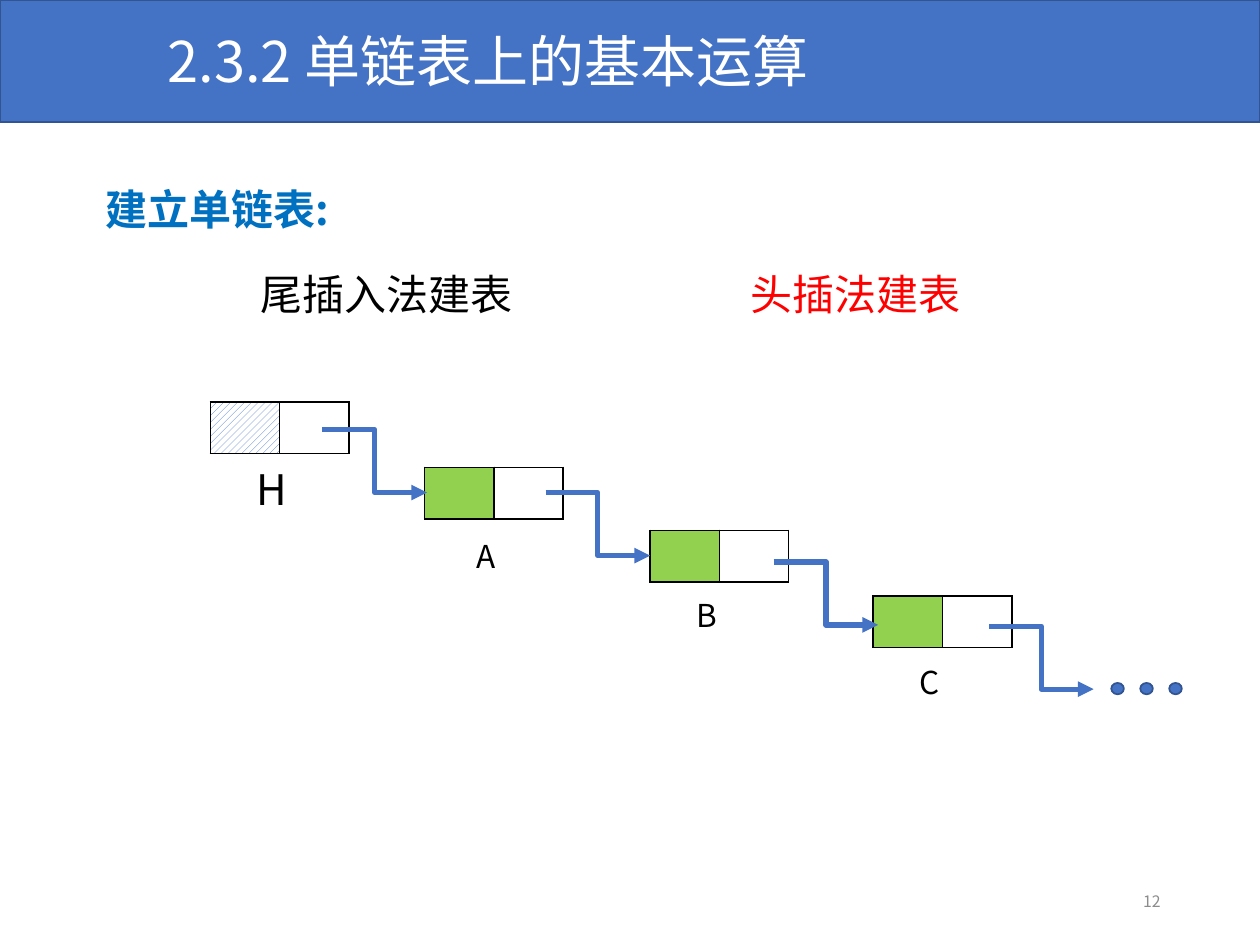
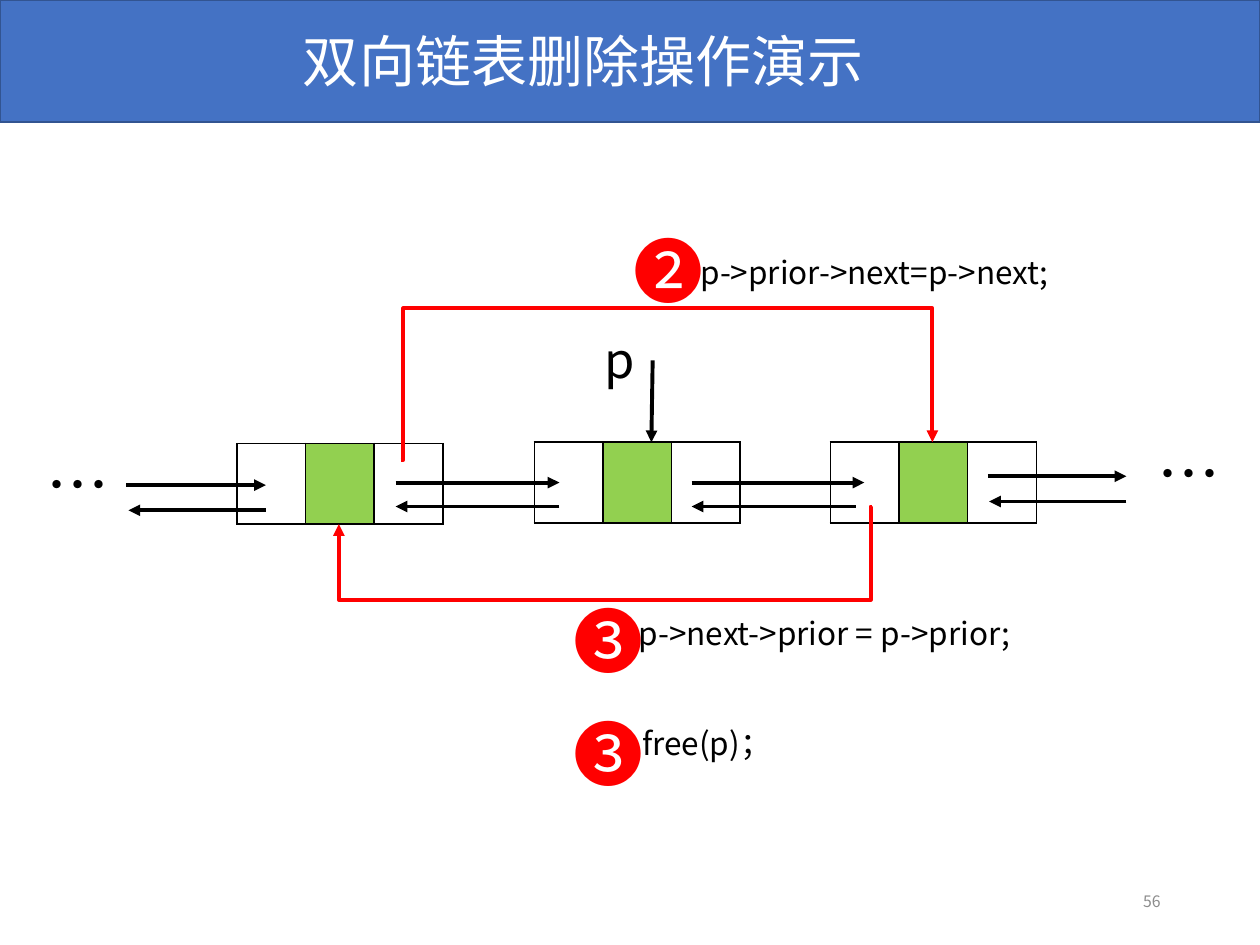
"""Build two slides on linked lists: tail insertion and deletion from a doubly linked list."""
from lxml import etree
from pptx import Presentation
from pptx.dml.color import RGBColor
from pptx.enum.dml import MSO_PATTERN
from pptx.enum.shapes import MSO_CONNECTOR, MSO_SHAPE
from pptx.enum.text import MSO_ANCHOR, MSO_AUTO_SIZE, PP_ALIGN
from pptx.oxml.ns import qn
from pptx.util import Inches, Pt

LEFT, CENTER, RIGHT = PP_ALIGN.LEFT, PP_ALIGN.CENTER, PP_ALIGN.RIGHT
TOP, MIDDLE = MSO_ANCHOR.TOP, MSO_ANCHOR.MIDDLE
STRAIGHT, ELBOW = MSO_CONNECTOR.STRAIGHT, MSO_CONNECTOR.ELBOW
RECTANGLE, OVAL = MSO_SHAPE.RECTANGLE, MSO_SHAPE.OVAL
HATCH = MSO_PATTERN.WIDE_UPWARD_DIAGONAL

FONT = "Noto Sans CJK SC"
COLORS = {
    "blue": "4472C4", "edge": "325491", "heading": "0070C0", "green": "92D050",
    "red": "FF0000", "black": "000000", "white": "FFFFFF", "grey": "8C8C8C",
}
SLIDE_W, SLIDE_H = 10, 7.5
BAND_H = 0.97

BUILD = {
    "title": ("2.3.2 单链表上的基本运算", LEFT),
    "number": "12",
    "texts": [
        ("建立单链表:", 0.74, 1.41, 4.62, 24, "heading", True),
        ("尾插入法建表", 1.97, 2.08, 2.5, 24, "black", False),
        ("头插法建表", 5.86, 2.08, 1.97, 24, "red", False),
        ("H", 1.94, 3.63, 0.52, 24, "black", False),
        ("A", 3.68, 4.21, 0.55, 18, "black", False),
        ("B", 5.43, 4.68, 0.55, 18, "black", False),
        ("C", 7.2, 5.21, 0.55, 18, "black", False),
    ],
    "nodes": [
        (1.67, 3.19, ("hatch", "white")),
        (3.37, 3.71, ("green", "white")),
        (5.16, 4.21, ("green", "white")),
        (6.93, 4.73, ("green", "white")),
    ],
    "link_starts": [(2.56, 3.41), (4.33, 3.91), (6.14, 4.46), (7.85, 4.97)],
}
BUILD_CELL = (0.55, 0.41)
LINK_STEP = (0.83, 0.5)
DOTS = {"count": 3, "left": 8.82, "top": 5.42, "pitch": 0.23, "size": (0.1, 0.09)}

DELETE = {
    "title": ("双向链表删除操作演示", CENTER),
    "number": "56",
    "texts": [
        ("p", 4.7, 2.57, 0.54, 28, "black", False),
        ("❷", 4.93, 1.76, 0.78, 40, "red", False),
        ("❸", 4.45, 4.69, 0.78, 40, "red", False),
        ("❸", 4.45, 5.59, 0.78, 40, "red", False),
        ("p->prior->next=p->next;", 5.46, 1.96, 3.66, 18, "black", False),
        ("p->next->prior = p->prior;", 4.97, 4.82, 3.89, 18, "black", False),
        ("free(p)；", 5, 5.7, 3.89, 18, "black", False),
        ("…", 0.27, 3.49, 0.78, 36, "black", False),
        ("…", 9.09, 3.4, 0.78, 36, "black", False),
    ],
    "nodes": [(left, top, ("white", "green", "white"))
              for left, top in ((1.88, 3.52), (4.24, 3.51), (6.59, 3.51))],
    "arrows": [
        ((1, 3.85), (2.11, 3.85)), ((2.11, 4.05), (1.02, 4.05)),
        ((3.14, 3.83), (4.44, 3.83)), ((4.44, 4.02), (3.14, 4.02)),
        ((5.49, 3.83), (6.86, 3.83)), ((6.79, 4.02), (5.49, 4.02)),
        ((7.84, 3.78), (8.94, 3.78)), ((8.94, 3.98), (7.85, 3.98)),
        ((5.18, 2.86), (5.17, 3.51)),
    ],
    "detours": [
        ((3.18, 3.65), (7.4, 3.51), (3.2, 2.45)),
        ((6.92, 4.02), (2.69, 4.16), (6.91, 4.76)),
    ],
}
DELETE_CELL = (0.545, 0.64)


def color(name):
    return RGBColor.from_string(COLORS[name])


def inches(*lengths):
    return [Inches(length) for length in lengths]


def write(shape, text, size, tint, bold=False, align=LEFT, anchor=TOP):
    frame = shape.text_frame
    frame.text = text
    frame.word_wrap = True
    frame.auto_size = MSO_AUTO_SIZE.NONE
    frame.vertical_anchor = anchor
    paragraph = frame.paragraphs[0]
    paragraph.alignment = align
    for run in paragraph.runs:
        run.font.name = FONT
        run.font.size = Pt(size)
        run.font.bold = bold
        run.font.color.rgb = color(tint)
        etree.SubElement(run.font._element, qn("a:ea"), typeface=FONT)


def add_label(slide, text, left, top, width, size, tint, bold):
    box = slide.shapes.add_textbox(*inches(left, top, width, size / 48))
    write(box, text, size, tint, bold)


def add_blue_shape(slide, kind, left, top, width, height):
    shape = slide.shapes.add_shape(kind, *inches(left, top, width, height))
    shape.shadow.inherit = False
    shape.fill.solid()
    shape.fill.fore_color.rgb = color("blue")
    shape.line.color.rgb = color("edge")
    shape.line.width = Pt(1)
    return shape


def add_field(slide, left, top, width, height, fill_name):
    """Draw one field of a list node as a bordered one-cell table."""
    table = slide.shapes.add_table(1, 1, *inches(left, top, width, height)).table
    table.first_row = table.horz_banding = False
    cell = table.cell(0, 0)
    properties = cell._tc.get_or_add_tcPr()
    for side in ("lnL", "lnR", "lnT", "lnB"):
        border = etree.SubElement(properties, qn(f"a:{side}"), w=str(Pt(1)))
        fill = etree.SubElement(border, qn("a:solidFill"))
        etree.SubElement(fill, qn("a:srgbClr"), val=COLORS["black"])
    if fill_name == "hatch":
        cell.fill.patterned()
        cell.fill.pattern = HATCH
        cell.fill.fore_color.rgb = color("blue")
        cell.fill.back_color.rgb = color("white")
    else:
        cell.fill.solid()
        cell.fill.fore_color.rgb = color(fill_name)


def add_nodes(slide, nodes, cell_size):
    width, height = cell_size
    for left, top, fills in nodes:
        for column, fill_name in enumerate(fills):
            add_field(slide, left + column * width, top, width, height, fill_name)


def add_arrow(slide, kind, start, end, tint, weight):
    arrow = slide.shapes.add_connector(kind, *inches(*start, *end))
    arrow.line.color.rgb = color(tint)
    arrow.line.width = Pt(weight)
    etree.SubElement(arrow.line._get_or_add_ln(), qn("a:tailEnd"), type="triangle")
    etree.SubElement(arrow.element.spPr, qn("a:effectLst"))
    return arrow


def add_detour(slide, start, end, corner):
    """Draw a red arrow that turns at the given corner and runs round a node."""
    arrow = add_arrow(slide, ELBOW, start, end, "red", 2.25)
    geometry = arrow.element.spPr.find(qn("a:prstGeom"))
    geometry.set("prst", "bentConnector4")
    guides = geometry.find(qn("a:avLst"))
    for axis in (0, 1):
        share = (corner[axis] - start[axis]) / (end[axis] - start[axis])
        etree.SubElement(guides, qn("a:gd"), name=f"adj{axis + 1}",
                         fmla=f"val {round(share * 100000)}")


def add_base(deck, content):
    """Add a slide with the band, title, page number and labels."""
    slide = deck.slides.add_slide(deck.slide_layouts[5])
    title = slide.shapes.title
    title.left, title.top, title.width, title.height = inches(1.23, 0.16, 6.8, 0.64)
    text, align = content["title"]
    write(title, text, 32, "white", align=align)
    band = add_blue_shape(slide, RECTANGLE, 0, 0, SLIDE_W, BAND_H)
    title.element.addprevious(band.element)
    number = slide.shapes.add_textbox(*inches(7.06, 6.95, 2.25, 0.4))
    write(number, content["number"], 9, "grey", align=RIGHT, anchor=MIDDLE)
    for label in content["texts"]:
        add_label(slide, *label)
    return slide


def add_build_slide(deck):
    slide = add_base(deck, BUILD)
    add_nodes(slide, BUILD["nodes"], BUILD_CELL)
    for x, y in BUILD["link_starts"]:
        add_arrow(slide, ELBOW, (x, y), (x + LINK_STEP[0], y + LINK_STEP[1]), "blue", 3)
    for index in range(DOTS["count"]):
        add_blue_shape(slide, OVAL, DOTS["left"] + index * DOTS["pitch"],
                       DOTS["top"], *DOTS["size"])


def add_delete_slide(deck):
    slide = add_base(deck, DELETE)
    add_nodes(slide, DELETE["nodes"], DELETE_CELL)
    for start, end in DELETE["arrows"]:
        add_arrow(slide, STRAIGHT, start, end, "black", 2.25)
    for detour in DELETE["detours"]:
        add_detour(slide, *detour)


def main():
    deck = Presentation()
    deck.slide_width, deck.slide_height = inches(SLIDE_W, SLIDE_H)
    add_build_slide(deck)
    add_delete_slide(deck)
    deck.save("out.pptx")


if __name__ == "__main__":
    main()
